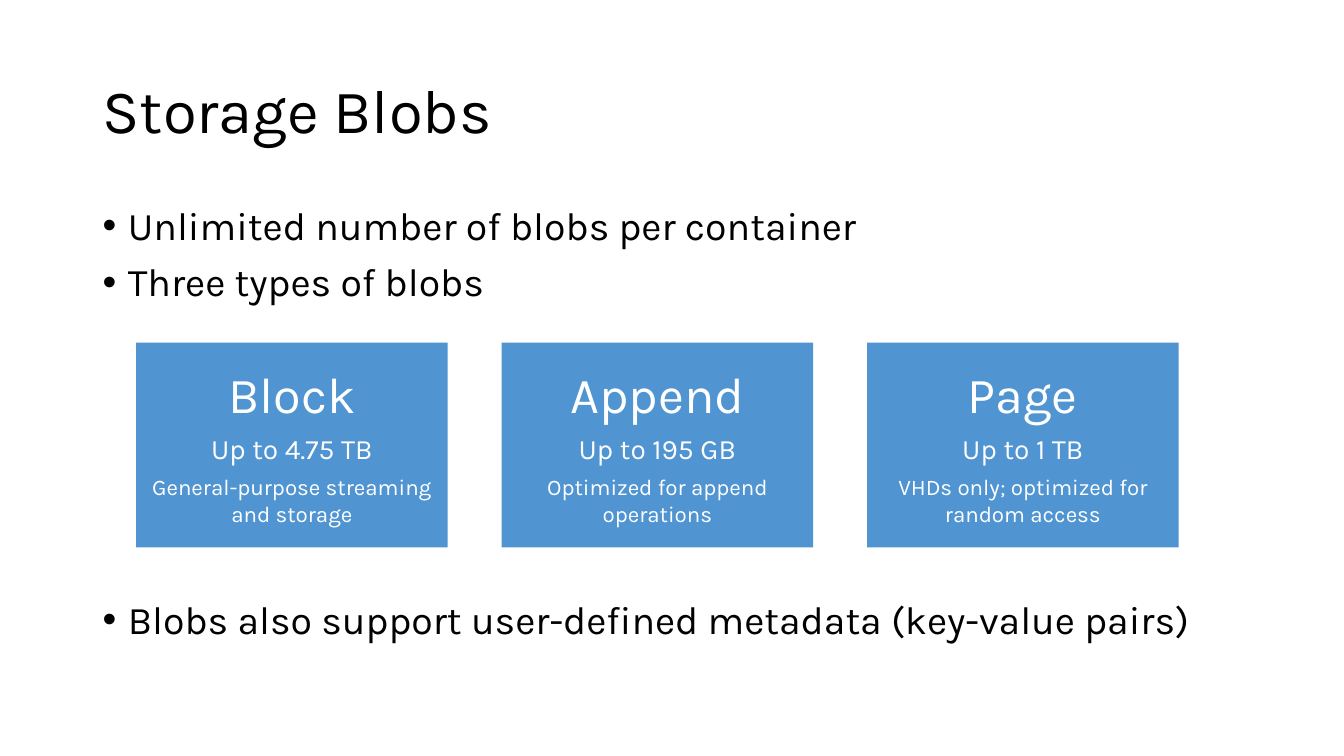
import pptx
import pptx.util
import pptx.dml.color
import pptx.enum.shapes
import pptx.enum.text
import lxml.etree

TITLE = "Storage Blobs"
BULLETS = [
    ("Unlimited number of blobs per container", 10),
    ("Three types of blobs", 10),
    ("Blobs also support user-defined metadata (key-value pairs)", 211),
]
BLOB_TYPES = [
    ("Block", "Up to 4.75 TB", "General-purpose streaming and storage"),
    ("Append", "Up to 195 GB", "Optimized for append operations"),
    ("Page", "Up to 1 TB", "VHDs only; optimized for random access"),
]
THEME = {
    "font": "Karla", "ink": "000000", "card": "5095D1", "card_text": "FFFFFF",
    "title": 44, "bullet": 28, "card_sizes": (36, 20, 16), "card_gap": 6,
    "line_spacing": 0.9, "indent": 0.25,
}
MARGIN, CONTENT_WIDTH = 0.92, 11.5
CARD_LEFT, CARD_TOP, CARD_WIDTH, CARD_HEIGHT = 1.35, 3.4, 3.09, 2.03
CARD_PITCH = 3.625

inches = pptx.util.Inches
middle = pptx.enum.text.MSO_ANCHOR.MIDDLE


def color(name):
    return pptx.dml.color.RGBColor.from_string(THEME[name])


def write(frame, index, text, size, ink):
    para = frame.paragraphs[0] if index == 0 else frame.add_paragraph()
    para.text = text
    para.font.name = THEME["font"]
    para.font.size = pptx.util.Pt(size)
    para.font.color.rgb = color(ink)
    return para


def add_text_box(page, top, height):
    box = page.shapes.add_textbox(*map(inches, (MARGIN, top, CONTENT_WIDTH, height)))
    box.text_frame.word_wrap = True
    return box.text_frame


def add_bullet(para):
    properties = para._p.get_or_add_pPr()
    indent = inches(THEME["indent"])
    properties.set("marL", str(indent))
    properties.set("indent", str(-indent))
    namespace = "{http://schemas.openxmlformats.org/drawingml/2006/main}"
    marks = [("buFont", "typeface", "Arial"), ("buChar", "char", "\u2022")]
    position = properties.index(properties.find(namespace + "defRPr"))
    for offset, (tag, key, value) in enumerate(marks):
        mark = lxml.etree.Element(namespace + tag)
        mark.set(key, value)
        properties.insert(position + offset, mark)


def add_card(page, column, lines):
    left = CARD_LEFT + column * CARD_PITCH
    card = page.shapes.add_shape(
        pptx.enum.shapes.MSO_SHAPE.RECTANGLE,
        *map(inches, (left, CARD_TOP, CARD_WIDTH, CARD_HEIGHT)))
    card.shadow.inherit = False
    card.fill.solid()
    card.fill.fore_color.rgb = color("card")
    card.line.fill.background()
    frame = card.text_frame
    frame.word_wrap = True
    frame.vertical_anchor = middle
    for index, (text, size) in enumerate(zip(lines, THEME["card_sizes"])):
        para = write(frame, index, text, size, "card_text")
        para.alignment = pptx.enum.text.PP_ALIGN.CENTER
        if index < len(lines) - 1:
            para.space_after = pptx.util.Pt(THEME["card_gap"])


deck = pptx.Presentation()
deck.slide_width, deck.slide_height = inches(13.33), inches(7.5)
page = deck.slides.add_slide(deck.slide_layouts[6])

title_frame = add_text_box(page, 0.4, 1.45)
title_frame.vertical_anchor = middle
heading = write(title_frame, 0, TITLE, THEME["title"], "ink")
heading.line_spacing = THEME["line_spacing"]

body_frame = add_text_box(page, 2, 4.76)
for index, (text, space_before) in enumerate(BULLETS):
    para = write(body_frame, index, text, THEME["bullet"], "ink")
    para.line_spacing = THEME["line_spacing"]
    para.space_before = pptx.util.Pt(space_before)
    add_bullet(para)

for column, lines in enumerate(BLOB_TYPES):
    add_card(page, column, lines)

deck.save("out.pptx")
